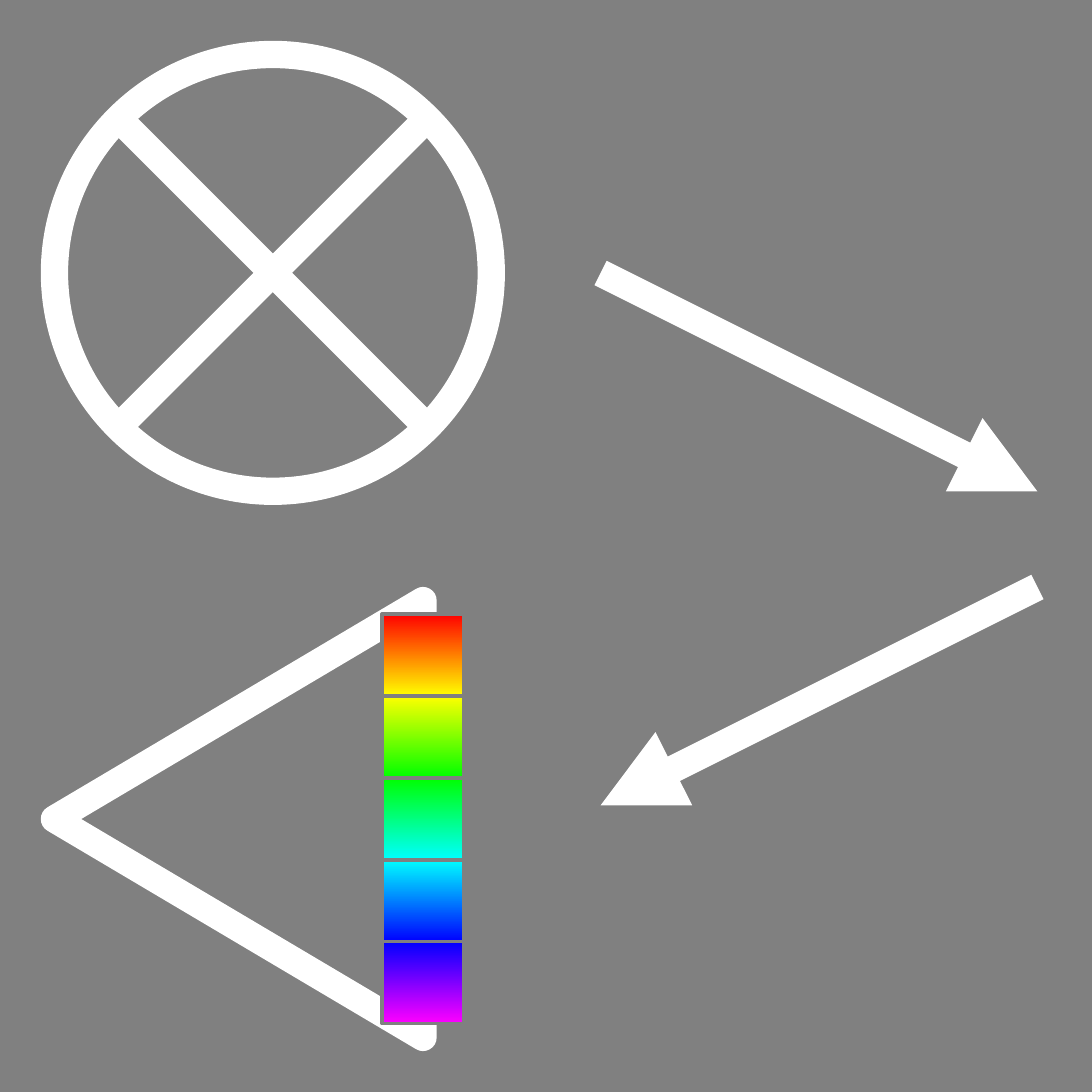
"""Square slide with a crossed circle, two arrows, a triangle and a colour scale."""
from lxml import etree
from pptx import Presentation, util as u
from pptx.dml.color import RGBColor
from pptx.enum import shapes as s
from pptx.oxml.ns import qn

SIDE = 8
ROUND = 3.2
CIRCLE = (0.4, 0.4, ROUND, ROUND)
ARROWS = [((4.4, 2), (7.6, 3.6)), ((7.6, 4.3), (4.4, 5.9))]
TRIANGLE = {"left": 0.4, "middle": 6, "depth": 2.7, "base": ROUND}
SCALE = {"left": 2.8, "top": 4.5, "step": 0.6}
SPECTRUM = ["FF0000", "FFFF00", "00FF00", "00FFFF", "0000FF", "FF00FF"]
THEME = {"ground": "808080", "stroke": "FFFFFF", "thick": 5.67, "hairline": 0}


def set_line(line, colour, width):
    line.color.rgb = RGBColor.from_string(colour)
    line.width = u.Pt(width)


def place(slide, preset, box, colour, width):
    part = slide.shapes.add_shape(preset, *map(u.Cm, box))
    part.shadow.inherit = False
    part.fill.background()
    set_line(part.line, colour, width)
    return part


def draw_arrow(slide, start, end):
    arrow = slide.shapes.add_connector(
        s.MSO_CONNECTOR.STRAIGHT, *map(u.Cm, start + end))
    set_line(arrow.line, THEME["stroke"], THEME["thick"])
    etree.SubElement(arrow.line._get_or_add_ln(), qn("a:tailEnd"), type="triangle")
    etree.SubElement(arrow._element.spPr, qn("a:effectLst"))


def draw_triangle(slide, left, middle, depth, base):
    box = (left + (depth - base) / 2, middle - depth / 2, base, depth)
    triangle = place(slide, s.MSO_SHAPE.ISOSCELES_TRIANGLE, box,
                     THEME["stroke"], THEME["thick"])
    triangle.rotation = 270
    etree.SubElement(triangle.line._get_or_add_ln(), qn("a:round"))


def draw_scale(slide, left, top, step):
    for row, colours in enumerate(zip(SPECTRUM, SPECTRUM[1:])):
        band = place(slide, s.MSO_SHAPE.RECTANGLE,
                     (left, top + row * step, step, step),
                     THEME["ground"], THEME["hairline"])
        band.fill.gradient()
        band.fill.gradient_angle = 270
        for stop, colour in zip(band.fill.gradient_stops, colours):
            stop.color.rgb = RGBColor.from_string(colour)


def main():
    deck = Presentation()
    deck.slide_width = deck.slide_height = u.Cm(SIDE)
    slide = deck.slides.add_slide(deck.slide_layouts[6])
    ground = place(slide, s.MSO_SHAPE.RECTANGLE, (0, 0, SIDE, SIDE),
                   THEME["ground"], THEME["hairline"])
    ground.fill.solid()
    ground.fill.fore_color.rgb = RGBColor.from_string(THEME["ground"])
    place(slide, s.MSO_SHAPE.FLOWCHART_SUMMING_JUNCTION, CIRCLE,
          THEME["stroke"], THEME["thick"])
    for start, end in ARROWS:
        draw_arrow(slide, start, end)
    draw_triangle(slide, **TRIANGLE)
    draw_scale(slide, **SCALE)
    deck.save("out.pptx")


if __name__ == "__main__":
    main()
